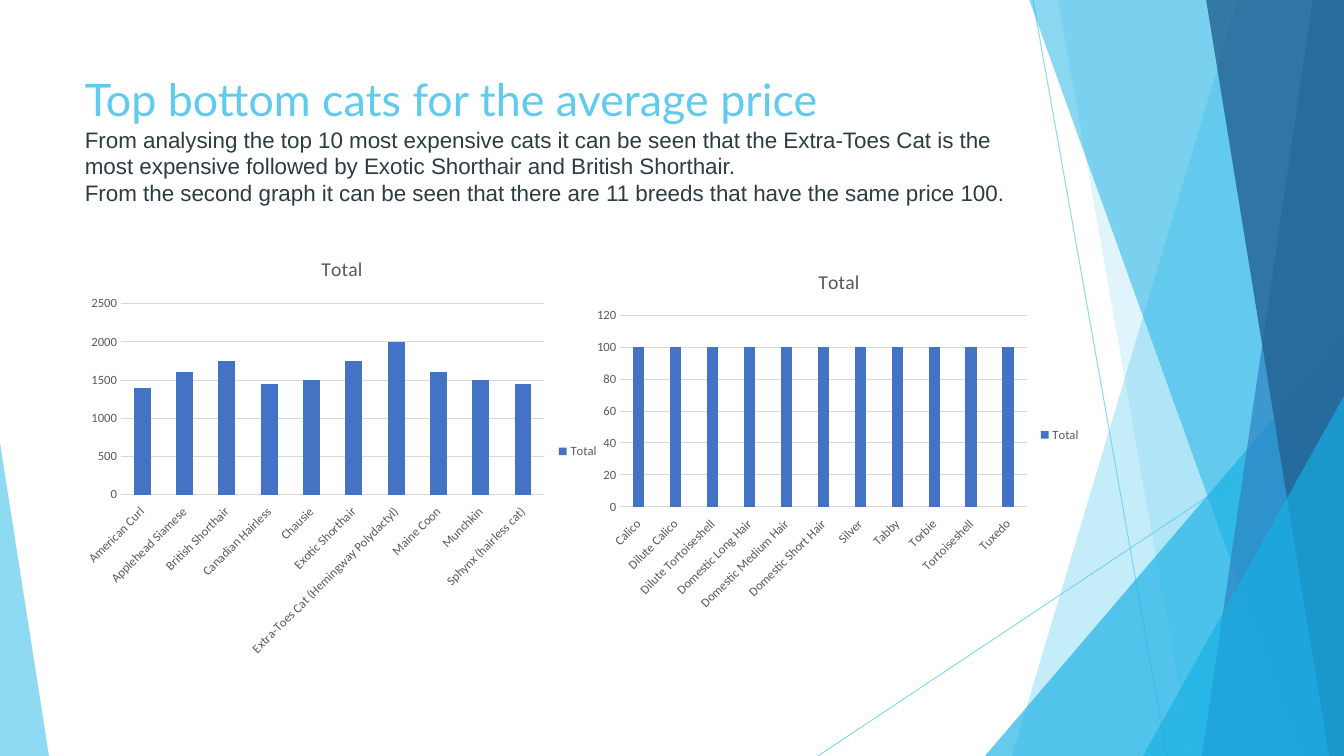
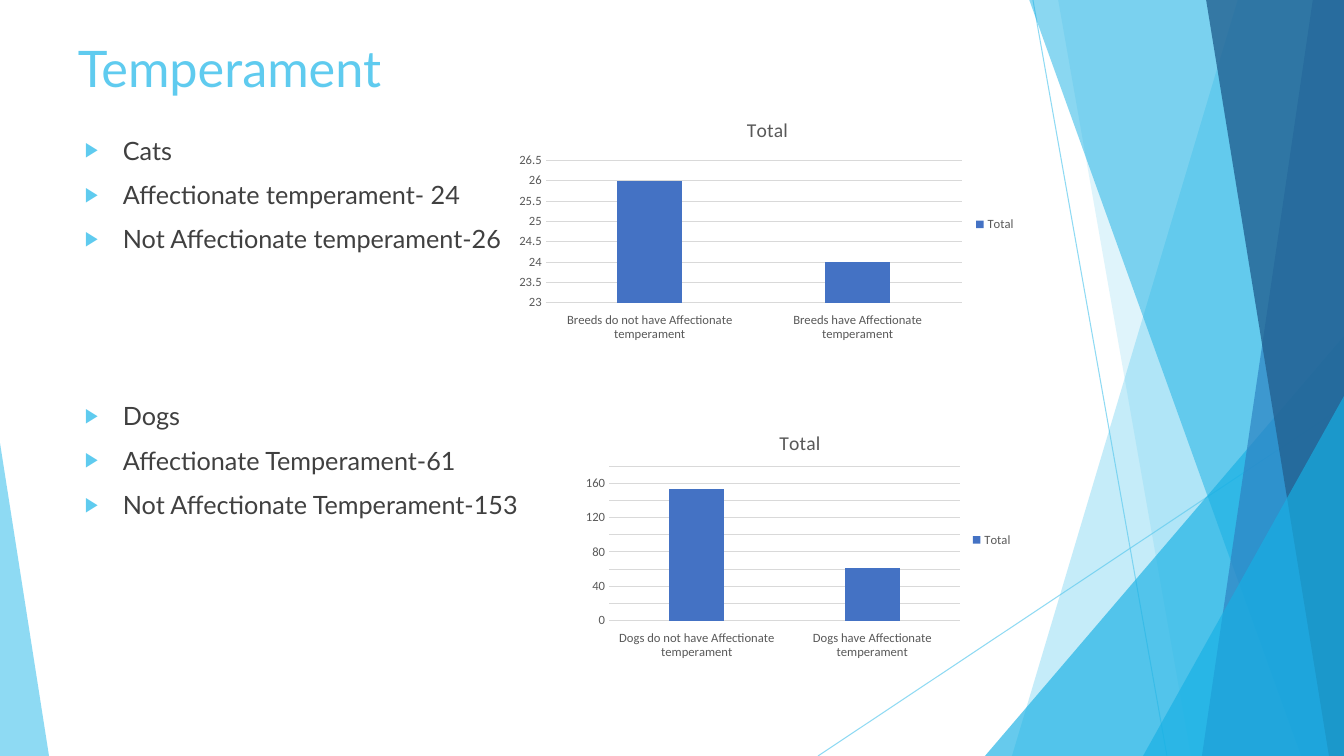
from pptx import Presentation
from pptx.chart.data import CategoryChartData
from pptx.dml.color import RGBColor
from pptx.enum.chart import XL_CHART_TYPE as ChartType, XL_LEGEND_POSITION as LegendSide
from pptx.enum.chart import XL_TICK_LABEL_POSITION as LabelSide, XL_TICK_MARK as TickMark
from pptx.enum.shapes import MSO_CONNECTOR as Connector
from pptx.oxml.ns import qn
from pptx.util import Pt
from lxml.etree import SubElement

PX = 914400 / 100.8
WIDTH, HEIGHT = 1344, 756
COLORS = {
    "sky": "5FCBEF", "cyan": "17B0E4", "blue": "2E83C3", "navy": "236292",
    "slate": "2C3C43", "text": "404040", "label": "595959",
    "grid": "D9D9D9", "bar": "4472C4",
}
RGB = {name: RGBColor.from_string(value) for name, value in COLORS.items()}

# Background facets: colour, opacity in percent, corner points
FACETS = [
    ("sky", 36, [(1238, -1), (WIDTH, -1), (WIDTH, HEIGHT), (1012, HEIGHT)]),
    ("sky", 20, [(1058, -1), (WIDTH, -1), (WIDTH, HEIGHT), (1191, HEIGHT)]),
    ("cyan", 66, [(985, HEIGHT), (WIDTH, 336), (WIDTH, HEIGHT)]),
    ("cyan", 50, [(1029, -1), (WIDTH, -1), (WIDTH, HEIGHT), (1301, HEIGHT)]),
    ("blue", 70, [(1313, -1), (WIDTH, -1), (WIDTH, HEIGHT), (1202, HEIGHT)]),
    ("navy", 80, [(1206, -1), (WIDTH, -1), (WIDTH, HEIGHT), (1329, HEIGHT)]),
    ("cyan", 66, [(1143, HEIGHT), (WIDTH, 396), (WIDTH, HEIGHT)]),
    ("sky", 70, [(0, HEIGHT), (0, 443), (49, HEIGHT)]),
]
RAYS = [(1033, 0, 1167, HEIGHT), (WIDTH, 406, 818, HEIGHT)]

# Each text box: frame in pixels, then lines of (text, size, font, colour, space before, bullet)
TEXTS = [
    [((75, 67, 948, 145), [
        ("Top bottom cats for the average price", 32, "Lato", "sky", 0, False),
        ("From analysing the top 10 most expensive cats it can be seen that the Extra-Toes Cat "
         "is the most expensive followed by Exotic Shorthair and British Shorthair.",
         16, "Arial", "slate", 0, False),
        ("From the second graph it can be seen that there are 11 breeds that have the same "
         "price 100.", 16, "Arial", "slate", 0, False),
    ])],
    [((75, 130, 948, 536), [
        (text, 18, "Lato", "text", before, True) for text, before in [
            ("Cats", 10),
            ("Affectionate temperament- 24", 10),
            ("Not Affectionate temperament-26", 10),
            ("Dogs", 105),
            ("Affectionate Temperament-61", 10),
            ("Not Affectionate Temperament-153", 10),
        ]]),
     ((68, 32, 502, 145), [("Temperament", 36, "Lato", "sky", 0, False)])],
]

# Each chart: frame, type, gap, overlap, label rotation, values by category
AUTO_ROTATION, SLANTED = "-60000000", "-2700000"
SIDE_BY_SIDE, STACKED = ChartType.COLUMN_CLUSTERED, ChartType.COLUMN_STACKED
CHARTS = [
    [((75, 238, 534, 427), STACKED, 150, 100, SLANTED, {
        "American Curl": 1400, "Applehead Siamese": 1600, "British Shorthair": 1750,
        "Canadian Hairless": 1450, "Chausie": 1500, "Exotic Shorthair": 1750,
        "Extra-Toes Cat (Hemingway Polydactyl)": 2000, "Maine Coon": 1600,
        "Munchkin": 1500, "Sphynx (hairless cat)": 1450}),
     ((587, 252, 504, 366), SIDE_BY_SIDE, 219, -27, SLANTED, dict.fromkeys([
         "Calico", "Dilute Calico", "Dilute Tortoiseshell", "Domestic Long Hair",
         "Domestic Medium Hair", "Domestic Short Hair", "Silver", "Tabby", "Torbie",
         "Tortoiseshell", "Tuxedo"], 100))],
    [((577, 415, 446, 250), SIDE_BY_SIDE, 219, -27, AUTO_ROTATION, {
        "Dogs do not have Affectionate temperament": 153,
        "Dogs have Affectionate temperament": 61}),
     ((509, 102, 517, 245), SIDE_BY_SIDE, 219, -27, AUTO_ROTATION, {
         "Breeds do not have Affectionate temperament": 26,
         "Breeds have Affectionate temperament": 24})],
]


def emu(*pixels):
    """Turn pixel lengths into a list of EMU lengths."""
    return [round(value * PX) for value in pixels]


def style_font(font, name, size, color):
    """Set the face, size and colour of a font."""
    font.name, font.size, font.bold = name, Pt(size), False
    font.color.rgb = RGB[color]


deck = Presentation()
deck.slide_width, deck.slide_height = emu(WIDTH, HEIGHT)

for texts, charts in zip(TEXTS, CHARTS):
    page = deck.slides.add_slide(deck.slide_layouts[6])

    for ends in RAYS:
        ray = page.shapes.add_connector(Connector.STRAIGHT, *emu(*ends))
        ray.line.width = Pt(0.74)
        ray.line.color.rgb = RGB["sky"]
        tint = ray.line.color._xFill.find(qn("a:srgbClr"))
        SubElement(tint, qn("a:alpha"), val="70000")
        SubElement(ray._element.spPr, qn("a:effectLst"))

    for color, opacity, corners in FACETS:
        outline = page.shapes.build_freeform(*corners[0], scale=PX)
        outline.add_line_segments(corners[1:], close=True)
        facet = outline.convert_to_shape()
        facet.shadow.inherit = False
        facet.fill.solid()
        facet.fill.fore_color.rgb = RGB[color]
        facet.line.fill.background()
        tint = facet._element.spPr.find(qn("a:solidFill")).find(qn("a:srgbClr"))
        SubElement(tint, qn("a:alpha"), val=str(opacity * 1000))

    for frame, lines in texts:
        box = page.shapes.add_textbox(*emu(*frame)).text_frame
        box.word_wrap = True
        for index, (text, size, face, color, before, bullet) in enumerate(lines):
            para = box.add_paragraph() if index else box.paragraphs[0]
            para.space_before = Pt(before)
            span = para.add_run()
            span.text = text
            style_font(span.font, face, size, color)
            if bullet:
                props = para._p.get_or_add_pPr()
                indent = emu(38)[0]
                props.set("marL", str(indent))
                props.set("indent", str(-indent))
                SubElement(SubElement(props, qn("a:buClr")), qn("a:srgbClr"), val=COLORS["sky"])
                SubElement(props, qn("a:buSzPct"), val="80000")
                SubElement(props, qn("a:buFont"), typeface="Arial")
                SubElement(props, qn("a:buChar"), char="\u25b6")

    for frame, kind, gap, overlap, rotation, values in charts:
        data = CategoryChartData()
        data.categories = list(values)
        data.add_series("Total", list(values.values()))
        chart = page.shapes.add_chart(kind, *emu(*frame), data).chart
        chart.has_title = chart.has_legend = True
        heading = chart.chart_title.text_frame.paragraphs[0].add_run()
        heading.text = "Total"
        style_font(heading.font, "Calibri", 14, "label")
        chart.legend.position = LegendSide.RIGHT
        chart.legend.include_in_layout = False

        names, amounts = chart.category_axis, chart.value_axis
        for font in (chart.font, chart.legend.font, names.tick_labels.font,
                     amounts.tick_labels.font):
            style_font(font, "Calibri", 9, "label")
        names.tick_label_position = LabelSide.LOW
        names._element.txPr.find(qn("a:bodyPr")).set("rot", rotation)
        amounts.has_major_gridlines = True
        for line in (names.format.line, amounts.major_gridlines.format.line):
            line.color.rgb = RGB["grid"]
            line.width = Pt(0.74)
        amounts.format.line.fill.background()
        for axis in (names, amounts):
            axis.major_tick_mark = axis.minor_tick_mark = TickMark.NONE

        plot = chart.plots[0]
        plot.gap_width, plot.overlap = gap, overlap
        plot.vary_by_categories = False
        bars = plot.series[0].format.fill
        bars.solid()
        bars.fore_color.rgb = RGB["bar"]

deck.save("out.pptx")
